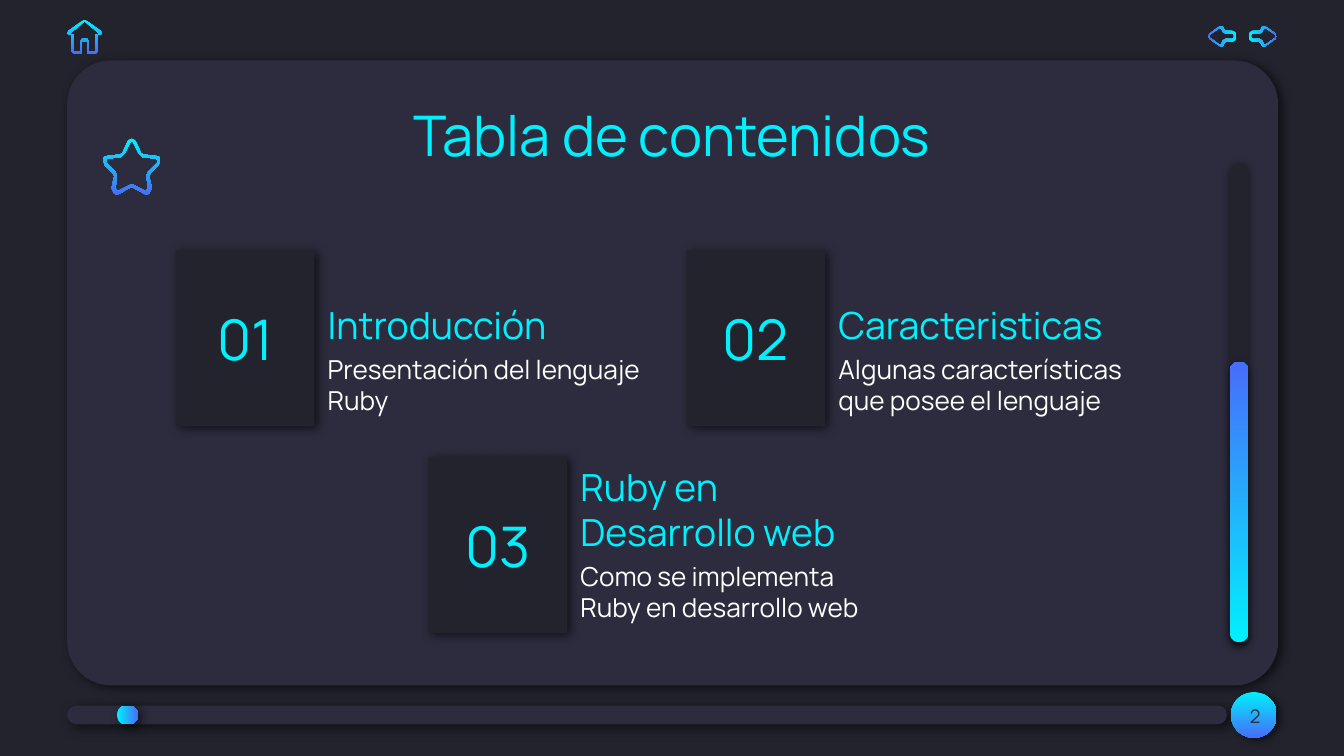
from lxml.etree import SubElement
from pptx import Presentation
from pptx.dml.color import RGBColor
from pptx.enum.shapes import MSO_SHAPE as Shape
from pptx.enum.text import MSO_ANCHOR as Anchor, MSO_AUTO_SIZE as AutoSize, PP_ALIGN as Align
from pptx.oxml.ns import qn
from pptx.util import Inches, Pt

DARK = RGBColor(0x23, 0x23, 0x2E)
PANEL = RGBColor(0x2C, 0x2C, 0x3E)
CYAN = RGBColor(0x01, 0xF0, 0xFD)
BLUE = RGBColor(0x47, 0x6D, 0xFA)
WHITE = RGBColor(0xFF, 0xFF, 0xFF)

DOWN, UP, RIGHT, LEFT = 270, 90, 0, 180
SOFT = (60, 5.6, 2.2, 33)
BADGE_SHADOW = (60, 4.5, 2.2, 33)
SCROLL_SHADOW = (50, 4.5, 1.5, 90)

ENTRIES = [
    (1.31, 1.86, "01", "Introducción", "Presentación del lenguaje Ruby"),
    (5.11, 1.86, "02", "Caracteristicas", "Algunas características que posee el lenguaje"),
    (3.19, 3.4, "03", "Ruby en Desarrollo web", "Como se implementa Ruby en desarrollo web"),
]

HOME_OUTER = [(0.63, 0.15), (0.64, 0.15), (0.75, 0.23), (0.76, 0.25), (0.74, 0.26), (0.73, 0.26),
              (0.73, 0.38), (0.71, 0.4), (0.65, 0.4), (0.65, 0.31), (0.63, 0.31)]
HOME_INNER = [(0.63, 0.16), (0.74, 0.25), (0.71, 0.26), (0.71, 0.38), (0.66, 0.38),
              (0.66, 0.31), (0.65, 0.29), (0.63, 0.29)]
STAR_OUTER = [(0.98, 1.03), (1, 1.04), (1.01, 1.05), (1.05, 1.14), (1.07, 1.15), (1.16, 1.16),
              (1.19, 1.17), (1.19, 1.2), (1.18, 1.23), (1.12, 1.29), (1.11, 1.31), (1.13, 1.4),
              (1.11, 1.44), (1.09, 1.45), (1.07, 1.44), (0.98, 1.39)]
STAR_INNER = [(0.98, 1.05), (0.99, 1.06), (1.03, 1.14), (1.06, 1.17), (1.16, 1.18), (1.17, 1.19),
              (1.17, 1.21), (1.1, 1.28), (1.09, 1.31), (1.1, 1.4), (1.09, 1.42), (1.08, 1.42),
              (1, 1.38), (0.98, 1.37)]
ARROW_OUTER = [(9.29, 0.27), (9.29, 0.26), (9.3, 0.24), (9.32, 0.23), (9.37, 0.23), (9.38, 0.22),
               (9.39, 0.2), (9.4, 0.19), (9.42, 0.2), (9.49, 0.25), (9.5, 0.27)]
ARROW_INNER = [(9.31, 0.27), (9.31, 0.26), (9.32, 0.25), (9.37, 0.25), (9.39, 0.24), (9.4, 0.22),
               (9.4, 0.21), (9.42, 0.21), (9.49, 0.26), (9.49, 0.27)]


def flip_x(points, axis):
    return [(2 * axis - x, y) for x, y in points]


def flip_y(points, axis):
    return [(x, 2 * axis - y) for x, y in points]


def whole(half, flip, axis):
    return half + flip(half, axis)[::-1]


def paint(shape, fill, shadow=None):
    """Fill with a colour, or with the cyan-to-blue gradient when given an angle."""
    if isinstance(fill, RGBColor):
        shape.fill.solid()
        shape.fill.fore_color.rgb = fill
    else:
        shape.fill.gradient()
        shape.fill.gradient_angle = fill
        for stop, color in zip(shape.fill.gradient_stops, (CYAN, BLUE)):
            stop.color.rgb = color
    shape.line.fill.background()
    shape.shadow.inherit = False
    if shadow:
        alpha, blur, distance, angle = shadow
        effects = shape.element.spPr.find(qn("a:effectLst"))
        outer = SubElement(effects, qn("a:outerShdw"), blurRad=str(Pt(blur)), dist=str(Pt(distance)),
                           dir=str(angle * 60000), algn="bl", rotWithShape="0")
        black = SubElement(outer, qn("a:srgbClr"), val="000000")
        SubElement(black, qn("a:alpha"), val=str(alpha * 1000))


def add_block(slide, kind, box, fill, shadow, corner=None):
    block = slide.shapes.add_shape(kind, *map(Inches, box))
    if corner is not None:
        block.adjustments[0] = corner
    paint(block, fill, shadow)
    return block


def add_icon(slide, contours, direction):
    contours = [[(Inches(x), Inches(y)) for x, y in contour] for contour in contours]
    first, *others = contours
    builder = slide.shapes.build_freeform(*first[0])
    builder.add_line_segments(first[1:])
    for contour in others:
        builder.move_to(*contour[0])
        builder.add_line_segments(contour[1:])
    paint(builder.convert_to_shape(), direction)


def write(shape, text, size, color, align=Align.LEFT, anchor=Anchor.TOP):
    frame = shape.text_frame
    frame.text = text
    frame.word_wrap = True
    frame.auto_size = AutoSize.NONE
    frame.vertical_anchor = anchor
    frame.margin_left = frame.margin_right = frame.margin_top = frame.margin_bottom = Inches(0.1)
    paragraph = frame.paragraphs[0]
    paragraph.alignment = align
    paragraph.font.name = "Manrope"
    paragraph.font.size = Pt(size)
    paragraph.font.color.rgb = color


def add_label(slide, box, *args, **kwargs):
    write(slide.shapes.add_textbox(*map(Inches, box)), *args, **kwargs)


def add_entry(slide, left, top, number, heading, summary):
    card = add_block(slide, Shape.RECTANGLE, (left, top, 1.03, 1.31), DARK, SOFT)
    write(card, number, 30, CYAN, Align.CENTER, Anchor.MIDDLE)
    text_left = left + 1.03
    add_label(slide, (text_left, top + 0.04, 2.56, 0.78), heading, 20, CYAN, anchor=Anchor.BOTTOM)
    add_label(slide, (text_left, top + 0.67, 2.56, 0.59), summary, 14, WHITE)


def add_window(slide):
    rounded = Shape.ROUNDED_RECTANGLE
    add_block(slide, rounded, (0.5, 0.45, 9.01, 4.65), PANEL, SOFT, 0.07)
    add_block(slide, rounded, (0.5, 5.25, 8.63, 0.14), PANEL, SOFT, 0.5)
    add_block(slide, rounded, (0.87, 5.25, 0.16, 0.14), RIGHT, SOFT, 0.5)
    add_block(slide, rounded, (9.15, 1.21, 0.14, 3.58), DARK, SCROLL_SHADOW, 0.5)
    add_block(slide, rounded, (9.15, 2.69, 0.14, 2.09), UP, SCROLL_SHADOW, 0.5)
    add_block(slide, Shape.OVAL, (9.16, 5.15, 0.34, 0.34), DOWN, BADGE_SHADOW)
    add_label(slide, (9.04, 5.11, 0.6, 0.43), "2", 10, PANEL, Align.CENTER, Anchor.MIDDLE)


def add_icons(slide):
    add_icon(slide, [whole(half, flip_x, 0.63) for half in (HOME_OUTER, HOME_INNER)], DOWN)
    add_icon(slide, [whole(half, flip_x, 0.98) for half in (STAR_OUTER, STAR_INNER)], DOWN)
    next_arrow = [whole(half, flip_y, 0.27) for half in (ARROW_OUTER, ARROW_INNER)]
    add_icon(slide, next_arrow, RIGHT)
    add_icon(slide, [flip_x(contour, 9.245) for contour in next_arrow], LEFT)


def add_title(slide, text):
    title = slide.shapes.title
    title.left, title.top, title.width, title.height = map(Inches, (0.87, 0.65, 8.26, 0.63))
    write(title, text, 30, CYAN, Align.CENTER)
    slide.shapes.element.append(title.element)


def main():
    deck = Presentation()
    deck.slide_width = Inches(10)
    deck.slide_height = deck.slide_width * 9 // 16
    slide = deck.slides.add_slide(deck.slide_layouts[5])
    slide.background.fill.solid()
    slide.background.fill.fore_color.rgb = DARK
    add_window(slide)
    add_icons(slide)
    add_title(slide, "Tabla de contenidos")
    for entry in ENTRIES:
        add_entry(slide, *entry)
    deck.save("out.pptx")


if __name__ == "__main__":
    main()
